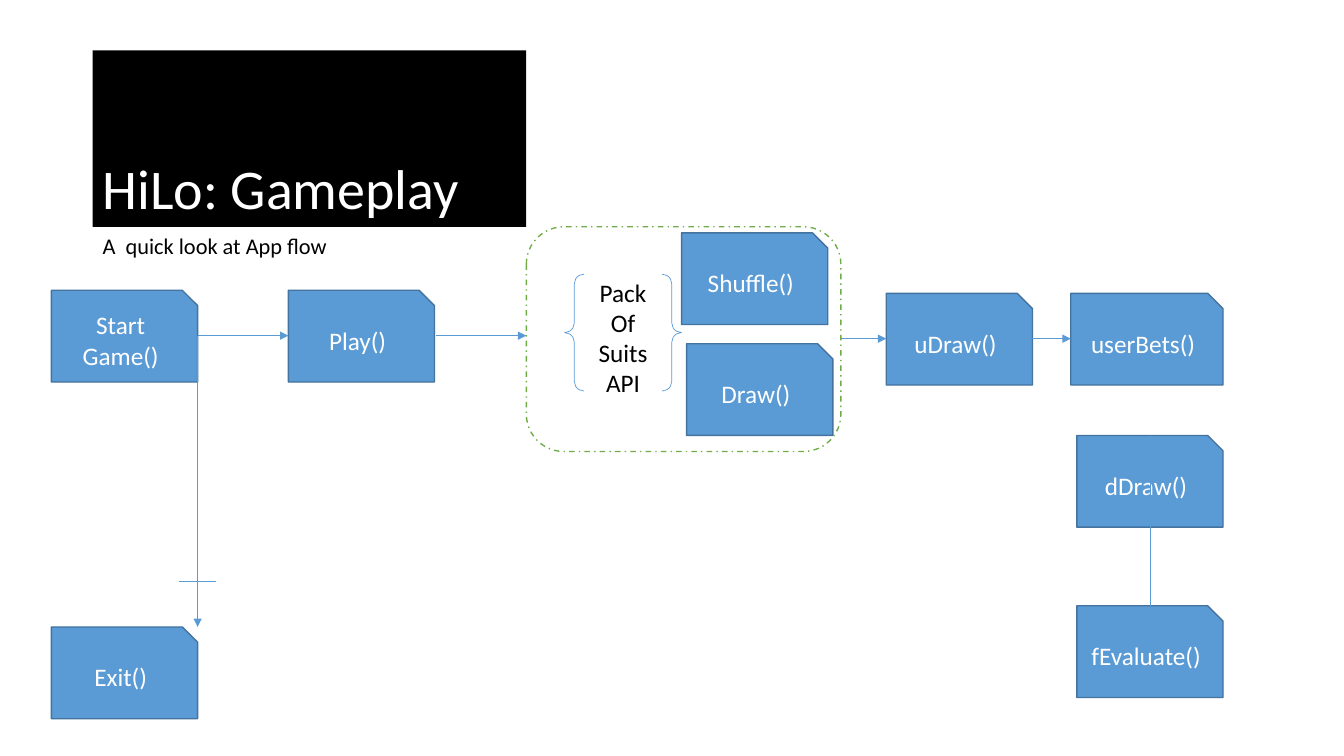
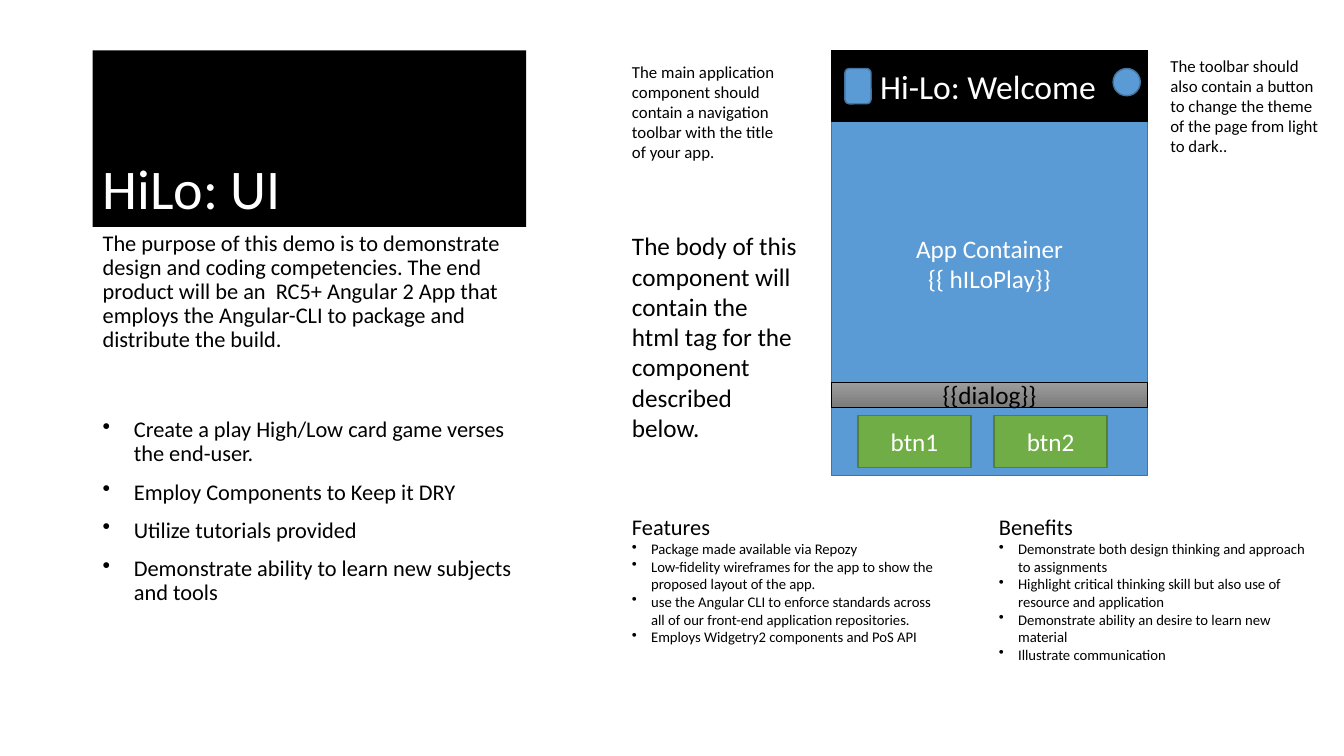
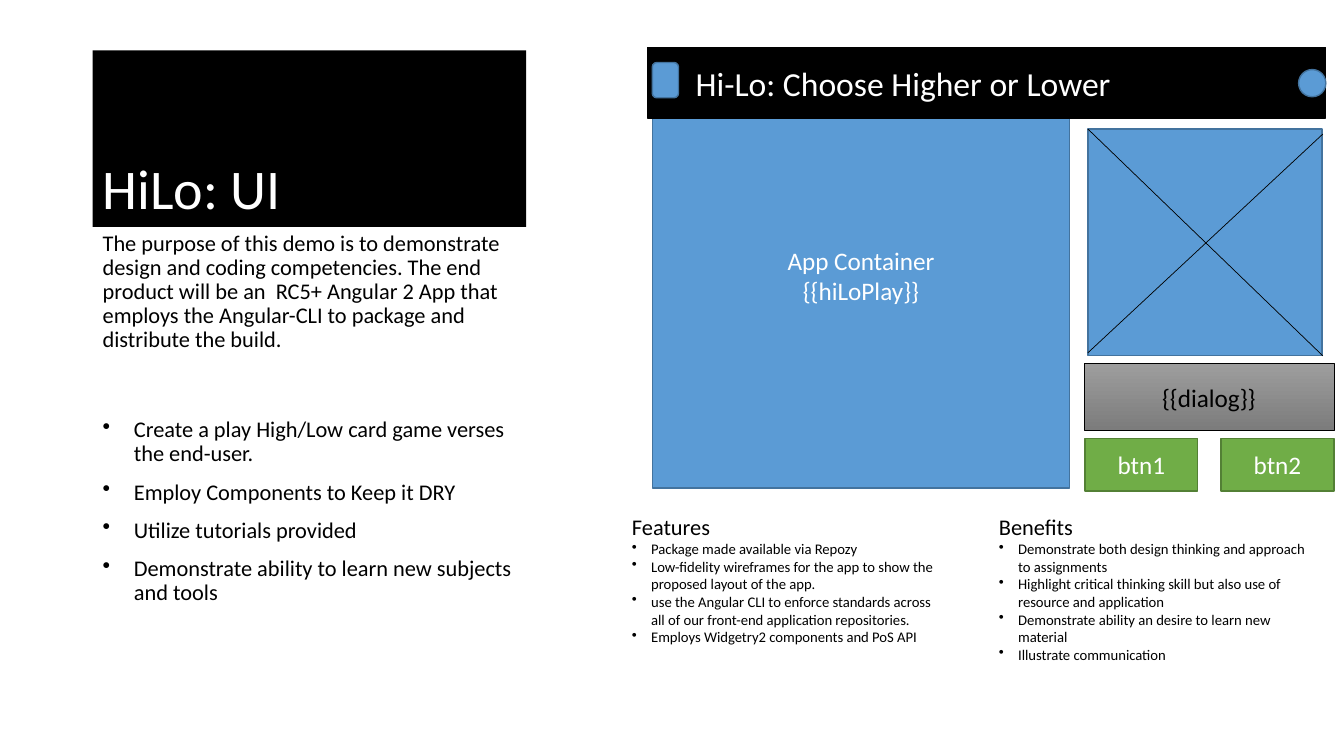
"""Builds three slides on the HiLo card game: app flow and two screen layouts."""
from lxml import etree
from pptx import Presentation
from pptx.dml.color import RGBColor
from pptx.enum.dml import MSO_LINE
from pptx.enum.shapes import MSO_CONNECTOR, MSO_SHAPE
from pptx.enum.text import MSO_ANCHOR, PP_ALIGN
from pptx.oxml.ns import qn
from pptx.util import Inches, Pt

RECT, ROUND, OVAL = MSO_SHAPE.RECTANGLE, MSO_SHAPE.ROUNDED_RECTANGLE, MSO_SHAPE.OVAL
SNIP, BRACE = MSO_SHAPE.SNIP_1_RECTANGLE, MSO_SHAPE.DOUBLE_BRACE
LEFT, CENTER = PP_ALIGN.LEFT, PP_ALIGN.CENTER
TOP, MIDDLE, BOTTOM = MSO_ANCHOR.TOP, MSO_ANCHOR.MIDDLE, MSO_ANCHOR.BOTTOM
STRAIGHT, DASH = MSO_CONNECTOR.STRAIGHT, MSO_LINE.DASH_DOT


class Theme:
    font = "Calibri"
    ink = RGBColor.from_string("000000")
    paper = RGBColor.from_string("FFFFFF")
    blue = RGBColor.from_string("5B9BD5")
    navy = RGBColor.from_string("43739E")
    green = RGBColor.from_string("70AD47")
    moss = RGBColor.from_string("538035")
    light = RGBColor.from_string("9D9D9D")
    dark = RGBColor.from_string("7C7C7C")
    title, bar, label, body, note, small = 40, 24, 18, 16, 12, 10.5
    thin, edge = 0.5, 1


def box(page, kind, at, text="", size=Theme.label, color=Theme.paper, fill=None, line=None,
        width=Theme.edge, align=CENTER, anchor=MIDDLE, hang=0, sub=None):
    place = [Inches(v) for v in at]
    if kind is None:
        shape = page.shapes.add_textbox(*place)
    else:
        shape = page.shapes.add_shape(kind, *place)
        shape.shadow.inherit = False
        for part, tint in ((shape.fill, fill), (shape.line.fill, line)):
            if tint is None:
                part.background()
            else:
                part.solid()
                part.fore_color.rgb = tint
        if line is not None:
            shape.line.width = Pt(width)
    frame = shape.text_frame
    frame.word_wrap = True
    frame.vertical_anchor = anchor
    frame.text = text
    for i, para in enumerate(frame.paragraphs):
        para.alignment = align
        for run in para.runs:
            run.font.name = Theme.font
            run.font.size = Pt(sub if sub and i else size)
            run.font.color.rgb = color
        if hang and i:
            props = para._p.get_or_add_pPr()
            props.set("marL", str(Inches(hang)))
            props.set("indent", str(-Inches(hang)))
            etree.SubElement(props, qn("a:buChar")).set("char", "•")
    return shape


def wire(page, x1, y1, x2, y2, color=Theme.blue, arrow=True):
    link = page.shapes.add_connector(STRAIGHT, *[Inches(v) for v in (x1, y1, x2, y2)])
    link.line.color.rgb = color
    link.line.width = Pt(Theme.thin)
    if arrow:
        etree.SubElement(link.line._ln, qn("a:tailEnd")).set("type", "triangle")
    etree.SubElement(link._element.spPr, qn("a:effectLst"))


deck = Presentation()
deck.slide_width, deck.slide_height = Inches(13.33), Inches(7.5)
plain = dict(color=Theme.ink, align=LEFT, anchor=TOP)
panel = dict(fill=Theme.blue, line=Theme.navy)

pages = []
for name in ("HiLo: Gameplay", "HiLo: UI", "HiLo: UI"):
    page = deck.slides.add_slide(deck.slide_layouts[6])
    head = box(page, RECT, (0.92, 0.5, 4.3, 1.75), name, Theme.title,
               fill=Theme.ink, align=LEFT, anchor=BOTTOM)
    head.text_frame.paragraphs[0].line_spacing = 0.9
    pages.append(page)
flow, welcome, choose = pages

box(flow, None, (0.92, 2.25, 4.3, 0.58), "A  quick look at App flow", Theme.body, **plain)
box(flow, BRACE, (5.6, 2.72, 1.16, 1.16), "Pack\nOf\nSuits\nAPI",
    color=Theme.ink, line=Theme.blue, width=Theme.thin)
steps = [
    (0.51, 2.88, 1.45, "Start Game()"),
    (2.86, 2.88, 1.45, "Play()"),
    (0.51, 6.22, 1.45, "Exit()"),
    (6.81, 3.41, 1.45, "Draw()"),
    (6.76, 2.31, 1.45, "Shuffle()"),
    (8.79, 2.91, 1.45, "uDraw()"),
    (10.62, 2.91, 1.51, "userBets()"),
    (10.68, 4.32, 1.45, "dDraw()"),
    (10.68, 6.01, 1.45, "fEvaluate()"),
]
for x, y, wide, name in steps:
    box(flow, SNIP, (x, y, wide, 0.91), name, **panel)
frame = box(flow, ROUND, (5.22, 2.25, 3.12, 2.23), line=Theme.green)
frame.line.dash_style = DASH
for ends in ((1.96, 3.33, 1.96, 6.22), (1.96, 3.33, 2.86, 3.33), (4.32, 3.33, 5.22, 3.33),
             (8.34, 3.36, 8.79, 3.36), (10.24, 3.36, 10.62, 3.36), (11.41, 6.01, 11.41, 4.32)):
    wire(flow, *ends)
wire(flow, 2.14, 5.77, 1.78, 5.77, arrow=False)

goals = "\n".join([
    "The purpose of this demo is to demonstrate design and coding competencies. The end product "
    "will be an  RC5+ Angular 2 App that employs the Angular-CLI to package and distribute the build.",
    "Create a play High/Low card game verses the end-user.",
    "Employ Components to Keep it DRY",
    "Utilize tutorials provided",
    "Demonstrate ability to learn new subjects and tools",
])
lists = [
    (6.17, ["Features", "Package made available via Repozy",
            "Low-fidelity wireframes for the app to show the proposed layout of the app.",
            "use the Angular CLI to enforce standards across all of our front-end "
            "application repositories.",
            "Employs Widgetry2 components and PoS API"]),
    (9.81, ["Benefits", "Demonstrate both design thinking and approach to assignments",
            "Highlight critical thinking skill but also use of resource and application",
            "Demonstrate ability an desire to learn new material",
            "Illustrate communication"]),
]
screens = [
    dict(page=welcome, main=(8.25, 0.5, 3.13, 4.22), tag="{{ hILoPlay}}",
         bar=(8.25, 0.5, 3.13, 0.7), name="Hi-Lo: Welcome", menu=(8.38, 0.68),
         dot=(11.04, 0.68), talk=(8.25, 3.79, 3.13, 0.25), keys=(8.51, 4.12)),
    dict(page=choose, main=(6.47, 0.62, 4.14, 4.22), tag="{{hiLoPlay}}",
         bar=(6.42, 0.47, 6.73, 0.7), name="Hi-Lo: Choose Higher or Lower", menu=(6.47, 0.62),
         dot=(12.88, 0.69), talk=(10.75, 3.61, 2.48, 0.66), keys=(10.76, 4.35)),
]
for view in screens:
    page = view["page"]
    body = box(page, None, (0.92, 2.25, 4.3, 4.31), goals, Theme.body, hang=0.31, **plain)
    for i, para in enumerate(body.text_frame.paragraphs):
        para.line_spacing = 0.9
        para.space_before = Pt((0, 47)[i] if i < 2 else 10)
    for x, rows in lists:
        box(page, None, (x, 5.04, 3.33, 1.61), "\n".join(rows), Theme.body,
            hang=0.19, sub=Theme.small, **plain)
    box(page, RECT, view["main"], "App Container\n" + view["tag"], **panel)
    bar = box(page, RECT, view["bar"], view["name"], Theme.bar,
              fill=Theme.ink, line=Theme.ink, align=LEFT)
    bar.text_frame.margin_left = Inches(0.48)
    box(page, ROUND, (*view["menu"], 0.26, 0.35), **panel)
    box(page, OVAL, (*view["dot"], 0.27, 0.27), **panel)
    talk = box(page, RECT, view["talk"], "{{dialog}}", color=Theme.ink,
               line=Theme.ink, width=Theme.thin)
    talk.fill.gradient()
    talk.fill.gradient_angle = 270
    for stop, tint in zip(talk.fill.gradient_stops, (Theme.light, Theme.dark)):
        stop.color.rgb = tint
    x, y = view["keys"]
    for i in range(2):
        box(page, RECT, (x + i * 1.35, y, 1.12, 0.52), f"btn{i + 1}",
            fill=Theme.green, line=Theme.moss)

notes = [
    (6.17, 0.56, 1.67, 1.11, Theme.note, "The main application component should contain "
     "a navigation toolbar with the title of your app."),
    (11.51, 0.5, 1.67, 1.11, Theme.note, "The toolbar should also contain a button "
     "to change the theme of the page from light to dark.."),
    (6.17, 2.24, 1.86, 2.22, Theme.label, "The body of this component will contain "
     "the html tag for the component described below."),
]
for *at, size, text in notes:
    box(welcome, None, at, text, size, **plain)

box(choose, RECT, (10.79, 1.28, 2.32, 2.25), **panel)
wire(choose, 10.79, 3.5, 13.12, 1.33, Theme.ink, arrow=False)
wire(choose, 13.12, 3.53, 10.79, 1.28, Theme.ink, arrow=False)

deck.save("out.pptx")
